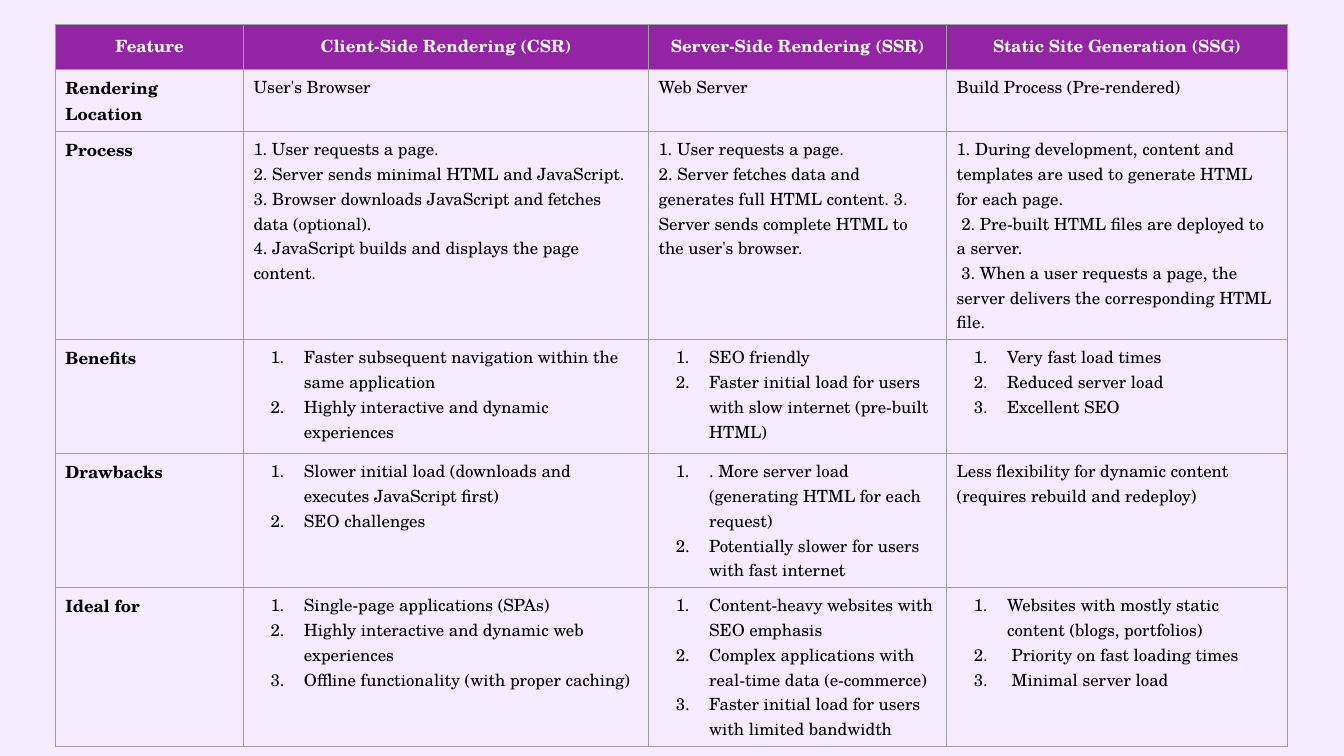
from dataclasses import dataclass

from lxml.etree import SubElement
from pptx import Presentation
from pptx.dml.color import RGBColor
from pptx.enum.text import PP_ALIGN as Align
from pptx.oxml.ns import qn
from pptx.util import Cm, Pt


@dataclass(frozen=True)
class Theme:
    background: str = "F6EBFF"
    header_fill: str = "9325A5"
    header_text: str = "FFFFFF"
    body_text: str = "000000"
    border: str = "9E9E9E"
    border_width: float = 0.75
    font: str = "TeX Gyre Schola"
    text_size: int = 12


@dataclass(frozen=True)
class Numbered:
    """Cell content that is numbered automatically."""
    items: tuple


def numbered(*items):
    return Numbered(items)


THEME = Theme()
COLUMN_WIDTHS = (4.74, 10.21, 7.51, 8.59)
ROW_HEIGHTS = (1.14, 1.47, 2.74, 2.87, 1.07, 1.07)
COMPARISON = (
    ("Feature", "Client-Side Rendering (CSR)", "Server-Side Rendering (SSR)",
     "Static Site Generation (SSG)"),
    ("Rendering Location", "User's Browser", "Web Server",
     "Build Process (Pre-rendered)"),
    ("Process",
     ("1. User requests a page.",
      "2. Server sends minimal HTML and JavaScript.",
      "3. Browser downloads JavaScript and fetches data (optional).",
      "4. JavaScript builds and displays the page content."),
     ("1. User requests a page.",
      "2. Server fetches data and generates full HTML content. "
      "3. Server sends complete HTML to the user's browser."),
     ("1. During development, content and templates are used to generate "
      "HTML for each page.",
      " 2. Pre-built HTML files are deployed to a server.",
      " 3. When a user requests a page, the server delivers the "
      "corresponding HTML file.")),
    ("Benefits",
     numbered("Faster subsequent navigation within the same application",
              "Highly interactive and dynamic experiences"),
     numbered("SEO friendly",
              "Faster initial load for users with slow internet "
              "(pre-built HTML)"),
     numbered("Very fast load times", "Reduced server load",
              "Excellent SEO")),
    ("Drawbacks",
     numbered("Slower initial load (downloads and executes JavaScript first)",
              "SEO challenges"),
     numbered(". More server load (generating HTML for each request)",
              "Potentially slower for users with fast internet"),
     "Less flexibility for dynamic content (requires rebuild and redeploy)"),
    ("Ideal for",
     numbered("Single-page applications (SPAs)",
              "Highly interactive and dynamic web experiences",
              "Offline functionality (with proper caching)"),
     numbered("Content-heavy websites with SEO emphasis",
              "Complex applications with real-time data (e-commerce)",
              "Faster initial load for users with limited bandwidth"),
     numbered("Websites with mostly static content (blogs, portfolios)",
              " Priority on fast loading times",
              " Minimal server load")),
)


def rgb(value):
    return RGBColor.from_string(value)


def add_borders(cell):
    properties = cell._tc.get_or_add_tcPr()
    for side in ("lnL", "lnR", "lnT", "lnB"):
        line = SubElement(properties, qn(f"a:{side}"),
                          w=str(Pt(THEME.border_width)))
        fill = SubElement(line, qn("a:solidFill"))
        SubElement(fill, qn("a:srgbClr"), val=THEME.border)


def add_number(paragraph):
    properties = paragraph._p.get_or_add_pPr()
    properties.set("marL", str(Cm(1.27)))
    properties.set("indent", str(-Cm(0.84)))
    colour = SubElement(properties, qn("a:buClr"))
    SubElement(colour, qn("a:srgbClr"), val=THEME.body_text)
    SubElement(properties, qn("a:buFont"), typeface=THEME.font)
    SubElement(properties, qn("a:buAutoNum"), type="arabicPeriod")


def fill_cell(cell, content, is_header, is_feature):
    add_borders(cell)
    if is_header:
        cell.fill.solid()
        cell.fill.fore_color.rgb = rgb(THEME.header_fill)
    else:
        cell.fill.background()
    cell.margin_left = cell.margin_right = Cm(0.25)
    cell.margin_top = cell.margin_bottom = Cm(0.13)

    is_numbered = isinstance(content, Numbered)
    if is_numbered:
        lines = content.items
    else:
        lines = (content,) if isinstance(content, str) else content
    cell.text = "\n".join(lines)
    for paragraph in cell.text_frame.paragraphs:
        if is_numbered:
            add_number(paragraph)
        if is_header:
            paragraph.alignment = Align.CENTER
            paragraph.line_spacing = 1.15
        font = paragraph.font
        font.name = THEME.font
        font.size = Pt(THEME.text_size)
        font.bold = is_header or is_feature
        font.color.rgb = rgb(THEME.header_text if is_header
                             else THEME.body_text)


def add_comparison(slide, left, top, width, height):
    frame = slide.shapes.add_table(len(COMPARISON), len(COLUMN_WIDTHS),
                                   left, top, width, height)
    table = frame.table
    table.first_row = table.horz_banding = False
    for column, share in zip(table.columns, COLUMN_WIDTHS):
        column.width = int(width * share / sum(COLUMN_WIDTHS))
    for row, row_height in zip(table.rows, ROW_HEIGHTS):
        row.height = Cm(row_height)
    frame.height = height
    for r, contents in enumerate(COMPARISON):
        for c, content in enumerate(contents):
            fill_cell(table.cell(r, c), content, r == 0, c == 0)


def main():
    deck = Presentation()
    deck.slide_width, deck.slide_height = Cm(33.87), Cm(19.05)
    slide = deck.slides.add_slide(deck.slide_layouts[6])
    slide.background.fill.solid()
    slide.background.fill.fore_color.rgb = rgb(THEME.background)
    add_comparison(slide, Cm(1.4), Cm(0.61), Cm(31.05), Cm(16.18))
    deck.save("out.pptx")


if __name__ == "__main__":
    main()
